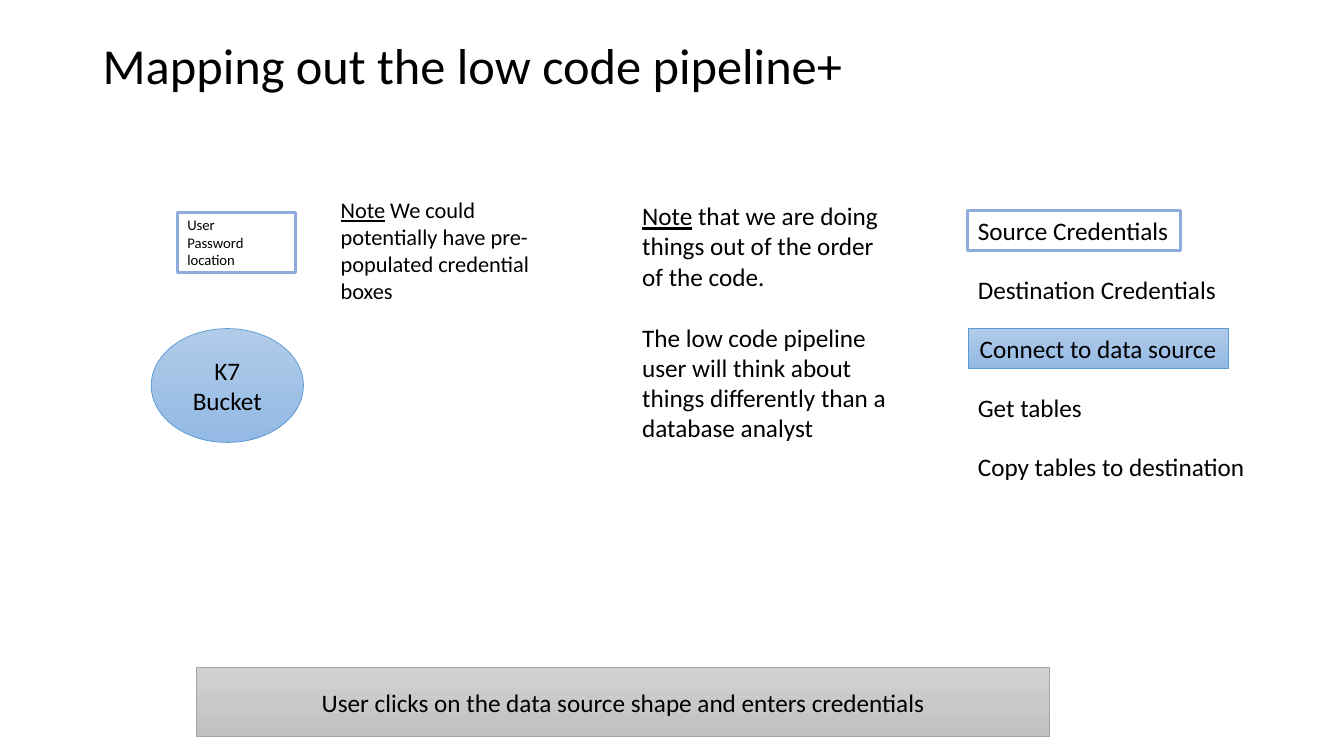
"""Build the low code pipeline mapping slide."""
from pptx import Presentation
from pptx.dml.color import RGBColor
from pptx.enum.shapes import MSO_SHAPE
from pptx.enum.text import MSO_ANCHOR, PP_ALIGN
from pptx.util import Inches, Pt

RECT, OVAL = MSO_SHAPE.RECTANGLE, MSO_SHAPE.OVAL
TOP, MIDDLE = MSO_ANCHOR.TOP, MSO_ANCHOR.MIDDLE
LEFT, CENTER = PP_ALIGN.LEFT, PP_ALIGN.CENTER

TITLE = "Mapping out the low code pipeline+"
CREDENTIALS = ["User", "Password", "location"]
BUCKET = "K7 Bucket"
CAPTION = "User clicks on the data source shape and enters credentials"
PREFILL_NOTE = [[("Note", True), (" We could potentially have pre-populated credential boxes", False)]]
ORDER_NOTE = [
    [("Note", True), (" that we are doing things out of the order of the code.", False)],
    [("The low code pipeline user will think about things differently than a database analyst", False)],
]
STEPS = [
    ("Source Credentials", 2.11, "outlined"),
    ("Destination Credentials", 2.59, "plain"),
    ("Connect to data source", 2.58, "blue"),
    ("Get tables", 1.25, "plain"),
    ("Copy tables to destination", 2.88, "plain"),
]
STEP_LEFT, STEP_HEIGHT = 9.6, 0.4
FIRST_STEP_TOP, LAST_STEP_TOP = 2.09, 4.43

THEME = {
    "font": "Calibri",
    "text": "000000",
    "sizes": {"title": 36, "body": 18, "note": 16, "small": 10.5},
    "paragraph_gap": 22,
    "styles": {
        "blue": {"fill": ("B1CBE9", "93B9E4"), "line": "5B9BD5", "width": 0.5},
        "grey": {"fill": ("D2D2D2", "C0C0C0"), "line": "A5A5A5", "width": 0.5},
        "outlined": {"fill": ("FFFFFF",), "line": "8FAADC", "width": 2.25},
        "plain": {"fill": (), "line": "FFFFFF", "width": 2.25},
    },
}


def write(s, paragraphs, size="body", align=LEFT, anchor=TOP, wrap=True, spacing=None):
    tf = s.text_frame
    for name, value in {"word_wrap": wrap, "vertical_anchor": anchor}.items():
        setattr(tf, name, value)
    for i, runs in enumerate(paragraphs):
        p = tf.add_paragraph() if i else tf.paragraphs[0]
        p.alignment = align
        p.line_spacing = spacing
        if i and size == "body":
            p.space_before = Pt(THEME["paragraph_gap"])
        for text, underline in runs:
            r = p.add_run()
            r.text = text
            formats = {"name": THEME["font"], "size": Pt(THEME["sizes"][size]), "underline": underline}
            for name, value in formats.items():
                setattr(r.font, name, value)
            r.font.color.rgb = RGBColor.from_string(THEME["text"])


def plain(*lines):
    return [[(line, False)] for line in lines]


def add_text(slide, box, paragraphs, **formats):
    write(slide.shapes.add_textbox(*map(Inches, box)), paragraphs, **formats)


def add_box(slide, kind, box, style, paragraphs, **formats):
    s = slide.shapes.add_shape(kind, *map(Inches, box))
    s.shadow.inherit = False
    look = THEME["styles"][style]
    colors = [RGBColor.from_string(c) for c in look["fill"]]
    if len(colors) > 1:
        s.fill.gradient()
        s.fill.gradient_angle = 270
        for stop, color in zip(s.fill.gradient_stops, colors):
            stop.color.rgb = color
    elif colors:
        s.fill.solid()
        s.fill.fore_color.rgb = colors[0]
    else:
        s.fill.background()
    s.line.color.rgb = RGBColor.from_string(look["line"])
    s.line.width = Pt(look["width"])
    write(s, paragraphs, **formats)


def main():
    prs = Presentation()
    prs.slide_width, prs.slide_height = Inches(13.33), Inches(7.5)
    slide = prs.slides.add_slide(prs.slide_layouts[6])
    centered = {"align": CENTER, "anchor": MIDDLE}

    add_text(slide, (0.92, 0.22, 11.5, 0.91), plain(TITLE), size="title", anchor=MIDDLE, spacing=0.9)
    add_box(slide, OVAL, (1.5, 3.26, 1.51, 1.13), "blue", plain(BUCKET), **centered)
    add_box(slide, RECT, (1.76, 2.11, 1.17, 0.59), "outlined", plain(*CREDENTIALS), size="small", anchor=MIDDLE)
    pitch = (LAST_STEP_TOP - FIRST_STEP_TOP) / (len(STEPS) - 1)
    for i, (label, width, style) in enumerate(STEPS):
        box = (STEP_LEFT, FIRST_STEP_TOP + i * pitch, width, STEP_HEIGHT)
        formats = centered if style == "blue" else {"wrap": False}
        add_box(slide, RECT, box, style, plain(label), **formats)
    add_box(slide, RECT, (1.95, 6.62, 8.46, 0.69), "grey", plain(CAPTION), **centered)
    add_text(slide, (6.27, 1.94, 2.62, 2.52), ORDER_NOTE)
    add_text(slide, (3.28, 1.9, 2.21, 1.18), PREFILL_NOTE, size="note")
    prs.save("out.pptx")


if __name__ == "__main__":
    main()
